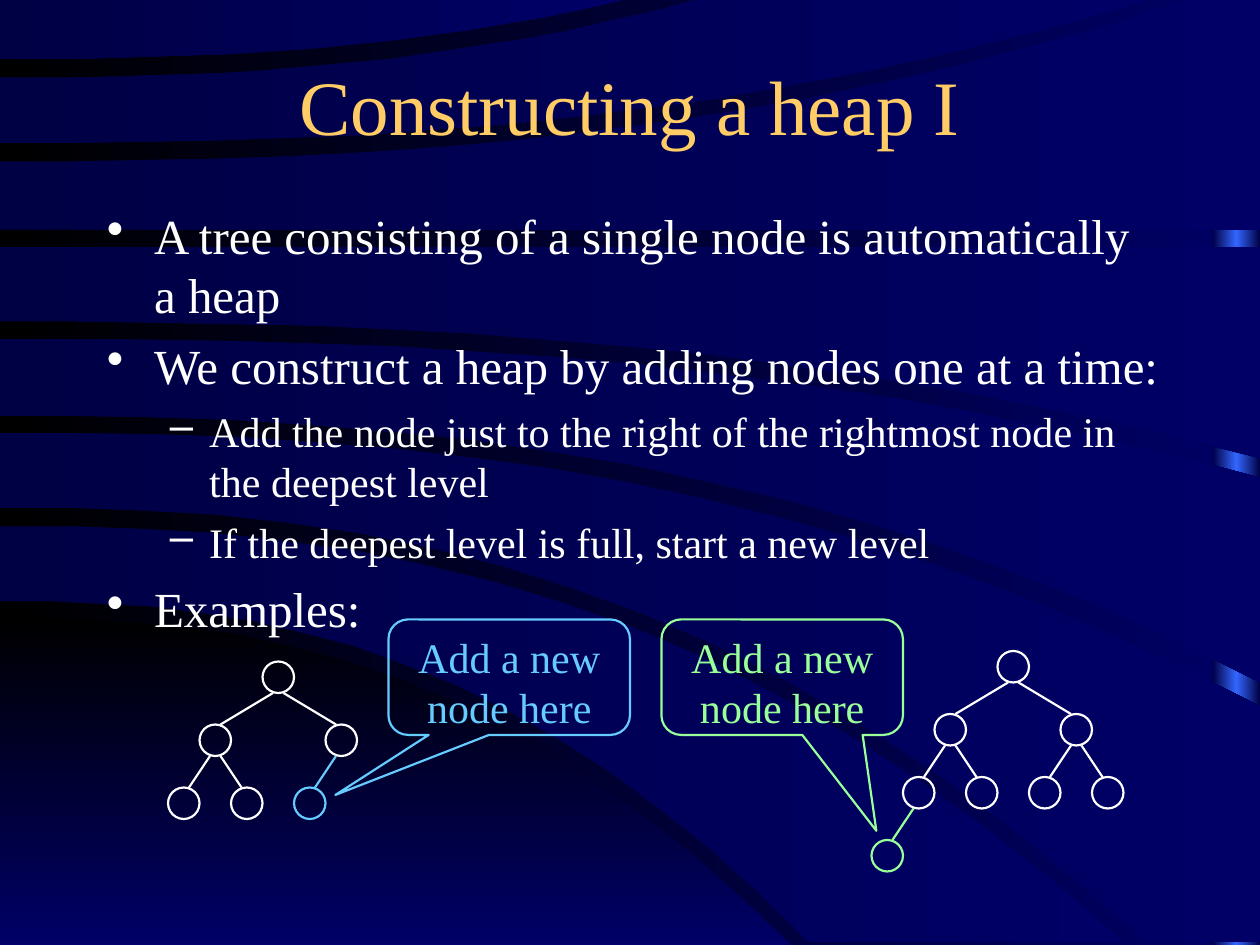
from copy import deepcopy

from lxml import etree
from pptx import Presentation
from pptx import util as u
from pptx.dml.color import RGBColor
from pptx.enum import shapes, text
from pptx.oxml.ns import qn

PX = 9525  # 96 px to the inch
FONT = "Times New Roman"
COLORS = {
    "black": "000000", "navy": "000044", "blue": "000066", "glow": "3366FF",
    "title": "FFCC66", "white": "FFFFFF", "sky": "66CCFF", "green": "99FF99",
}
NODE, STEP, NUDGE = 24, 48, 4  # node diameter, level height, branch offset
BEND, PIECES = 2.45, 16  # steepness and smoothness of the band edges


def fill_gradient(fill, first, last, angle=0):
    fill.gradient()
    fill.gradient_angle = angle
    for stop, name in zip(fill.gradient_stops, (first, last)):
        stop.color.rgb = RGBColor.from_string(COLORS[name])


def add_node(group, center, top, color, side=0, spread=0):
    """Draw a node; side is -1 or 1 for a left or right child."""
    rgb = RGBColor.from_string(COLORS[color])
    node = group.shapes.add_shape(shapes.MSO_SHAPE.OVAL, (center - NODE // 2) * PX,
                                  top * PX, NODE * PX, NODE * PX)
    node.shadow.inherit = False
    node.fill.background()
    node.line.color.rgb = rgb
    node.line.width = u.Pt(1.25)
    if side:
        parent = center - side * spread
        branch = group.shapes.add_connector(
            shapes.MSO_CONNECTOR.STRAIGHT,
            (center - side * NUDGE) * PX, top * PX,
            (parent + side * NUDGE) * PX, (top - STEP + NODE) * PX)
        branch.line.color.rgb = rgb
        branch.line.width = u.Pt(1.25)
        etree.SubElement(branch._element.spPr, qn("a:effectLst"))


presentation = Presentation()
presentation.slide_width = 960 * PX
presentation.slide_height = 720 * PX
slide = presentation.slides.add_slide(presentation.slide_layouts[6])
fill_gradient(slide.background.fill, "black", "blue")

# Glowing strip at the right edge
strip = slide.shapes.add_shape(shapes.MSO_SHAPE.RECTANGLE, 924 * PX, 0, 36 * PX, 720 * PX)
strip.shadow.inherit = False
strip.line.fill.background()
fill_gradient(strip.fill, "navy", "navy")
stops = strip._element.spPr.find(".//" + qn("a:gsLst"))
stops.insert(1, deepcopy(stops[0]))
stops[1].set("pos", "50000")
strip.fill.gradient_stops[1].color.rgb = RGBColor.from_string(COLORS["glow"])

# Curved bands from the bottom up; an edge has its y at the left, then its end x and y
bands = [
    ((471, 603, 720), (720, 603, 720)),
    ((401, 857, 718), (458, 616, 718)),
    ((330, 960, 538), (387, 873, 718)),
    ((258, 960, 364), (317, 960, 520)),
    ((188, 960, 188), (245, 960, 349)),
    ((123, 903, 0), (175, 960, 175)),
    ((59, 530, 0), (109, 876, 0)),
    ((0, 474, 0), (45, 474, 0)),
]
for number, edges in enumerate(bands):
    upper, lower = [
        [(round(end_x * i / PIECES), round(start + (end_y - start) * (i / PIECES) ** BEND))
         for i in range(PIECES + 1)]
        for start, end_x, end_y in edges]
    shorter, longer = sorted((upper[-1], lower[-1]))
    corner = (longer[0], shorter[1])
    builder = slide.shapes.build_freeform(*upper[0], scale=PX)
    builder.add_line_segments(upper[1:] + [corner] + lower[::-1], close=True)
    band = builder.convert_to_shape()
    band.shadow.inherit = False
    band.line.fill.background()
    if number == 0:
        fill_gradient(band.fill, "black", "blue", 270)
    else:
        fill_gradient(band.fill, "navy", "blue")

# Title
title = slide.shapes.add_textbox(32 * PX, 40 * PX, 896 * PX, 80 * PX)
title.text_frame.word_wrap = True
title.text_frame.vertical_anchor = text.MSO_ANCHOR.MIDDLE
paragraph = title.text_frame.paragraphs[0]
paragraph.text = "Constructing a heap I"
paragraph.alignment = text.PP_ALIGN.CENTER
paragraph.font.name = FONT
paragraph.font.size = u.Pt(44)
paragraph.font.color.rgb = RGBColor.from_string(COLORS["title"])

# Bulleted body: size, space before, margin, hanging indent and bullet per level
levels = [(28, 7, 36, 36, "•"), (24, 6, 78, 30, "–")]
items = [
    (0, "A tree consisting of a single node is automatically a heap"),
    (0, "We construct a heap by adding nodes one at a time:"),
    (1, "Add the node just to the right of the rightmost node in the deepest level"),
    (1, "If the deepest level is full, start a new level"),
    (0, "Examples:"),
]
body = slide.shapes.add_textbox(72 * PX, 152 * PX, 824 * PX, 368 * PX)
body.text_frame.word_wrap = True
for index, (level, wording) in enumerate(items):
    size, before, margin, hanging, bullet = levels[level]
    paragraph = body.text_frame.add_paragraph() if index else body.text_frame.paragraphs[0]
    paragraph.text = wording
    paragraph.level = level
    paragraph.space_before = u.Pt(before)
    paragraph.font.name = FONT
    paragraph.font.size = u.Pt(size)
    paragraph.font.color.rgb = RGBColor.from_string(COLORS["white"])
    properties = paragraph._p.get_or_add_pPr()
    properties.set("marL", str(margin * PX))
    properties.set("indent", str(-hanging * PX))
    mark = etree.Element(qn("a:buChar"), char=bullet)
    properties.find(qn("a:defRPr")).addprevious(mark)

# Example trees: root center and top, number of leaves, new node and its callout
examples = [
    (772, 496, 4, (676, 640), "green", 504, (0.39, 1.33, 0.17)),
    (212, 504, 2, (236, 600), "sky", 296, (-0.72, 1.02, 0.17)),
]
for root, top, leaves, new_node, color, callout_left, adjustments in examples:
    tree = slide.shapes.add_group_shape()
    add_node(tree, root, top, "white")
    for side in (-1, 1):
        add_node(tree, root + side * 48, top + STEP, "white", side, 48)
    for leaf in range(leaves):
        add_node(tree, root - 72 + leaf * 48, top + 2 * STEP, "white", leaf % 2 * 2 - 1, 24)

    addition = slide.shapes.add_group_shape()
    add_node(addition, *new_node, color, -1, 24)
    callout = addition.shapes.add_shape(shapes.MSO_SHAPE.ROUNDED_RECTANGULAR_CALLOUT,
                                        callout_left * PX, 472 * PX, 184 * PX, 88 * PX)
    for index, value in enumerate(adjustments):
        callout.adjustments[index] = value
    callout.shadow.inherit = False
    callout.fill.background()
    callout.line.color.rgb = RGBColor.from_string(COLORS[color])
    callout.line.width = u.Pt(1.25)
    callout.text_frame.word_wrap = True
    callout.text_frame.vertical_anchor = text.MSO_ANCHOR.TOP
    paragraph = callout.text_frame.paragraphs[0]
    paragraph.text = "Add a new node here"
    paragraph.alignment = text.PP_ALIGN.CENTER
    paragraph.font.name = FONT
    paragraph.font.size = u.Pt(24)
    paragraph.font.color.rgb = RGBColor.from_string(COLORS[color])

presentation.save("out.pptx")
